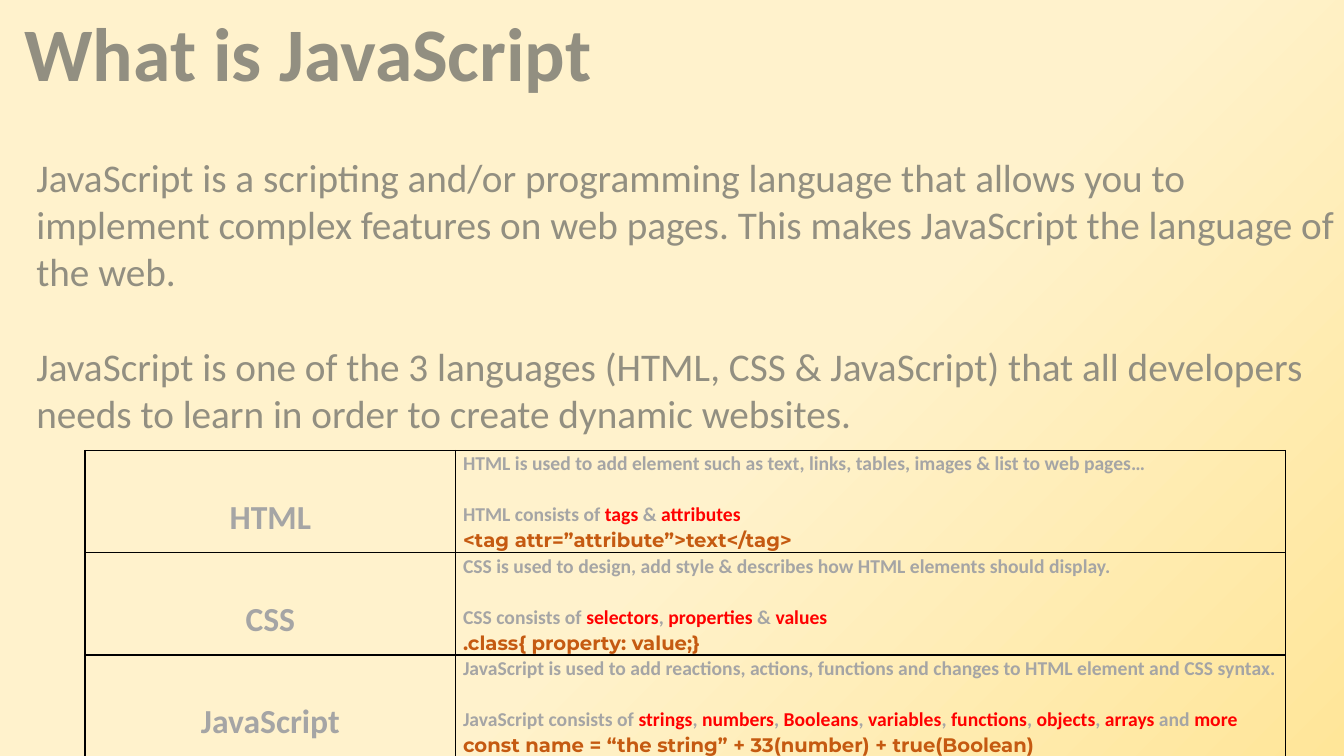
import dataclasses
import typing

import pptx
import pptx.dml.color
import pptx.enum.text
import pptx.oxml
import pptx.oxml.ns
import pptx.util

RGBColor = pptx.dml.color.RGBColor
ALIGN = pptx.enum.text.PP_ALIGN
ANCHOR = pptx.enum.text.MSO_ANCHOR
FIT = pptx.enum.text.MSO_AUTO_SIZE
Pt = pptx.util.Pt

PX = 9525
STONE = RGBColor(0x92, 0x8F, 0x81)
GREY = RGBColor(0xA5, 0xA5, 0xA5)
RED = RGBColor(0xFF, 0x00, 0x00)
RUST = RGBColor(0xC5, 0x5A, 0x11)
BLACK = RGBColor(0x00, 0x00, 0x00)
CREAM = RGBColor(0xFF, 0xF2, 0xCC)
GOLD = RGBColor(0xFF, 0xE6, 0x99)
NS = pptx.oxml.ns.nsdecls("a")

HEAD = {"size": Pt(54), "name": "Calibri", "bold": True}
BODY = {"size": Pt(28), "name": "Calibri", "bold": False}
LABEL = {"size": Pt(24), "name": "Calibri", "bold": True}
NOTE = {"size": Pt(14), "name": "Calibri", "bold": True}
CODE = {"size": Pt(14), "name": "Montserrat", "bold": True}
LINE = {"line_spacing": 1.07, "space_before": Pt(0)}


@dataclasses.dataclass(frozen=True)
class Topic:
    name: str
    use: str
    words: tuple[str, ...]
    last: str
    code: str


TOPICS = (
    Topic("HTML",
          "HTML is used to add element such as text, links, tables, images & list to web pages…",
          ("tags", "attributes"), " & ",
          "<tag attr=”attribute”>text</tag>"),
    Topic("CSS",
          "CSS is used to design, add style & describes how HTML elements should display.",
          ("selectors", "properties", "values"), " & ",
          ".class{ property: value;}"),
    Topic("JavaScript",
          "JavaScript is used to add reactions, actions, functions and changes to HTML element "
          "and CSS syntax.",
          ("strings", "numbers", "Booleans", "variables", "functions", "objects", "arrays",
           "more"), " and ",
          "const name = “the string” + 33(number) + true(Boolean)"),
)
INTRO = (
    "JavaScript is a scripting and/or programming language that allows you to implement "
    "complex features on web pages. This makes JavaScript the language of the web.",
    "JavaScript is one of the 3 languages (HTML, CSS & JavaScript) that all developers "
    "needs to learn in order to create dynamic websites.",
)


def dress(item: typing.Any, values: dict[str, typing.Any]) -> None:
    for key, value in values.items():
        setattr(item, key, value)


def write(para: typing.Any, text: str, font: dict[str, typing.Any], tint: RGBColor) -> None:
    run = para.add_run()
    run.text = text
    dress(run.font, font)
    run.font.color.rgb = tint


def place(shape: typing.Any, left: int, top: int, width: int, height: int) -> None:
    dress(shape, {"left": left * PX, "top": top * PX,
                  "width": width * PX, "height": height * PX})


def line(frame: typing.Any, index: int) -> typing.Any:
    return frame.add_paragraph() if index else frame.paragraphs[0]


def paint(slide: typing.Any) -> None:
    slide.background.fill.gradient()
    old = slide.element.find(".//" + pptx.oxml.ns.qn("a:gradFill"))
    new = pptx.oxml.parse_xml(
        f'<a:gradFill {NS} rotWithShape="1"><a:gsLst>'
        f'<a:gs pos="57000"><a:srgbClr val="{CREAM}"/></a:gs>'
        f'<a:gs pos="100000"><a:srgbClr val="{GOLD}"/></a:gs></a:gsLst>'
        '<a:path path="circle"><a:fillToRect r="100000" b="100000"/></a:path></a:gradFill>')
    old.getparent().replace(old, new)


def frame_cell(cell: typing.Any, top: int) -> None:
    props = cell._tc.get_or_add_tcPr()
    for side in "LRTB":
        props.append(pptx.oxml.parse_xml(
            f'<a:ln{side} {NS} w="12700"><a:solidFill><a:srgbClr val="{BLACK}"/>'
            f'</a:solidFill></a:ln{side}>'))
    cell.fill.background()
    dress(cell, {"margin_left": 7 * PX, "margin_right": 7 * PX, "margin_top": top * PX,
                 "margin_bottom": 0, "vertical_anchor": ANCHOR.TOP})


def fill_row(label: typing.Any, detail: typing.Any, topic: Topic) -> None:
    frame_cell(label, 42)
    frame_cell(detail, 0)
    para = label.text_frame.paragraphs[0]
    dress(para, {**LINE, "alignment": ALIGN.CENTER})
    write(para, topic.name, LABEL, GREY)

    use, made, code = (line(detail.text_frame, index) for index in range(3))
    for para in (use, made, code):
        dress(para, {**LINE, "alignment": ALIGN.LEFT})
    made.space_before = Pt(18.3)
    write(use, topic.use, NOTE, GREY)
    write(made, f"{topic.name} consists of ", NOTE, GREY)
    for index, word in enumerate(topic.words):
        if index:
            final = index == len(topic.words) - 1
            write(made, topic.last if final else ", ", NOTE, GREY)
        write(made, word, NOTE, RED)
    write(code, topic.code, CODE, RUST)


def add_title(title: typing.Any) -> None:
    place(title, 11, 0, 565, 97)
    dress(title.text_frame, {"word_wrap": False, "auto_size": FIT.NONE,
                             "vertical_anchor": ANCHOR.MIDDLE})
    para = title.text_frame.paragraphs[0]
    para.alignment = ALIGN.CENTER
    write(para, "What is JavaScript", HEAD, STONE)


def add_intro(body: typing.Any) -> None:
    place(body, 25, 141, 1255, 281)
    dress(body.text_frame, {"word_wrap": True, "auto_size": FIT.NONE,
                            "vertical_anchor": ANCHOR.TOP})
    for index, text in enumerate(INTRO):
        para = line(body.text_frame, index)
        dress(para, {"alignment": ALIGN.LEFT, "space_before": Pt(34 * index)})
        props = para._p.get_or_add_pPr()
        props.set("marL", "0")
        props.set("indent", "0")
        props.append(pptx.oxml.parse_xml(f"<a:buNone {NS}/>"))
        write(para, text, BODY, STONE)


def add_grid(slide: typing.Any) -> None:
    widths = (353, 790)
    high = 96
    rows = len(TOPICS)
    grid = slide.shapes.add_table(rows, len(widths), 81 * PX, 429 * PX,
                                  sum(widths) * PX, rows * high * PX).table
    dress(grid, {"first_row": False, "horz_banding": False})
    for column, width in zip(grid.columns, widths):
        column.width = width * PX
    for row, topic in zip(grid.rows, TOPICS):
        row.height = high * PX
        fill_row(row.cells[0], row.cells[1], topic)


def main() -> None:
    deck = pptx.Presentation()
    dress(deck, {"slide_width": 1280 * PX, "slide_height": 720 * PX})
    slide = deck.slides.add_slide(deck.slide_layouts[1])
    paint(slide)
    add_title(slide.shapes.title)
    add_intro(slide.placeholders[1])
    add_grid(slide)
    deck.save("out.pptx")


if __name__ == "__main__":
    main()
